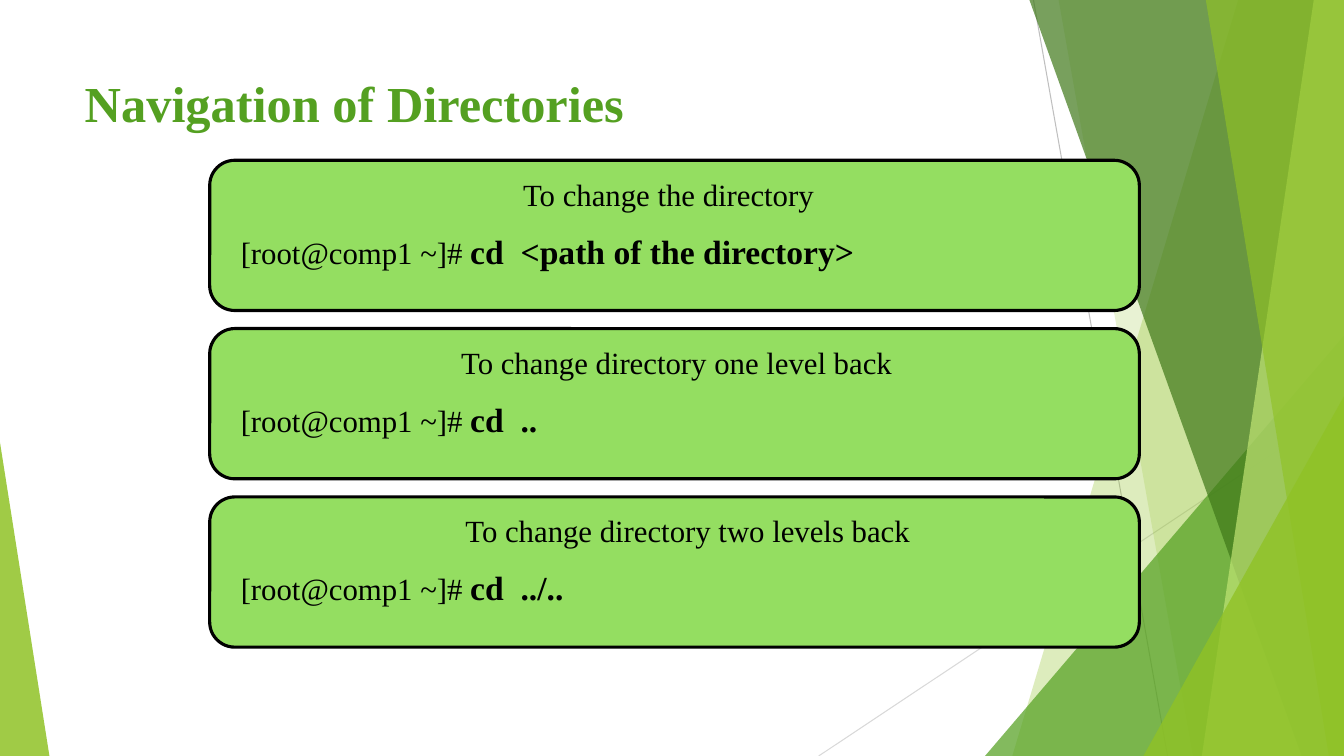
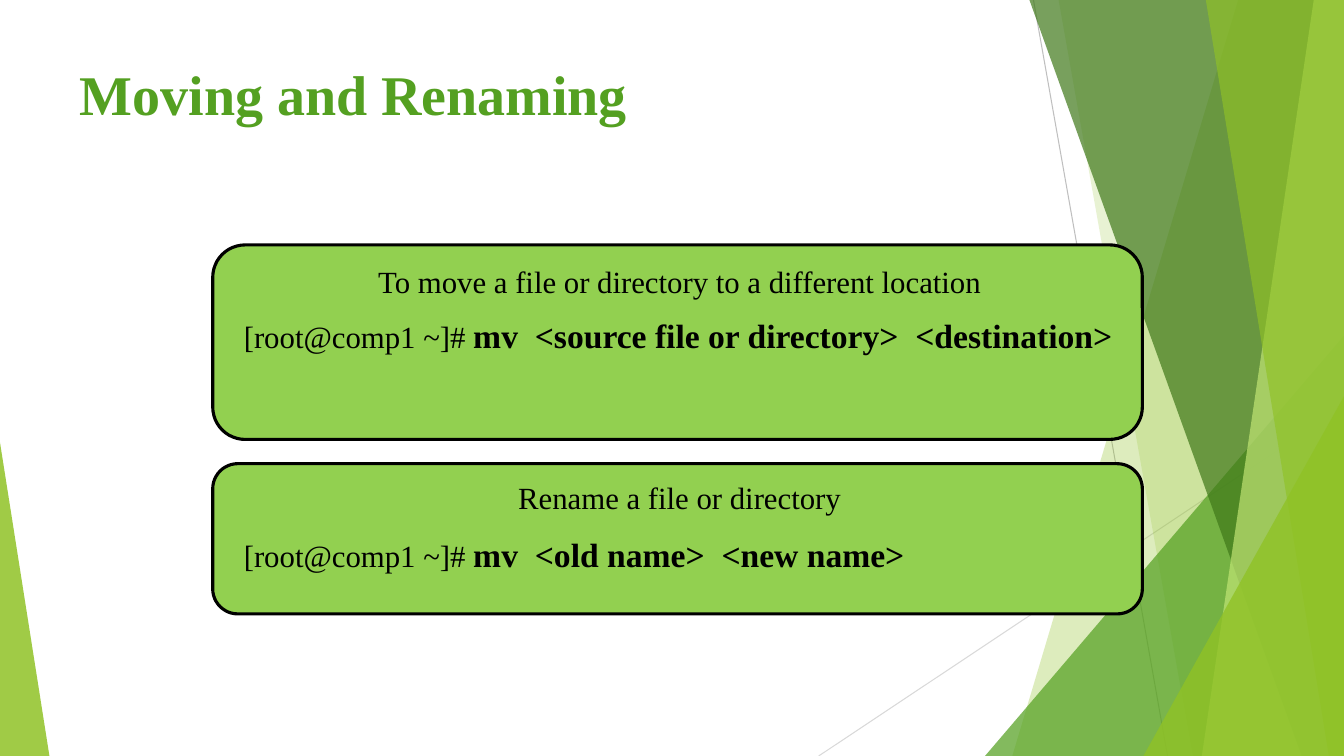
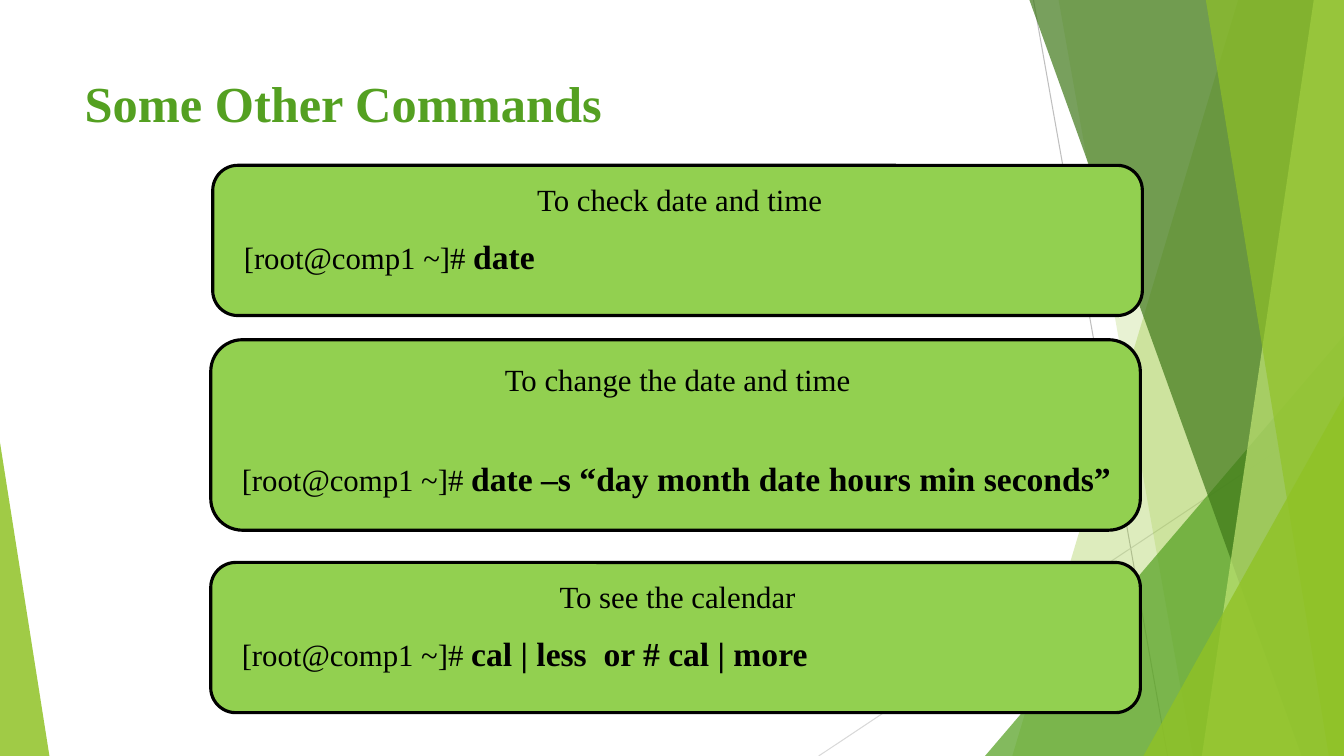
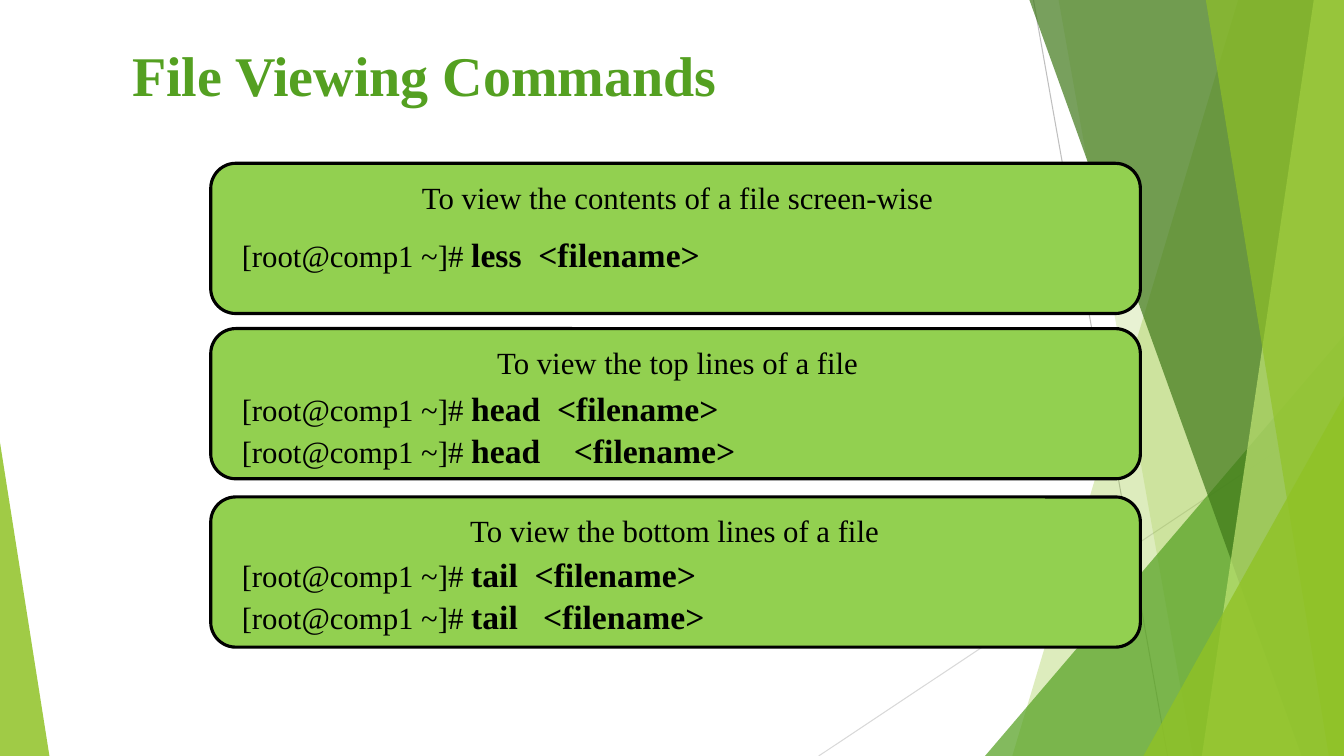
from dataclasses import dataclass

from lxml import etree
from pptx import Presentation
from pptx.dml.color import RGBColor
from pptx.enum.shapes import MSO_CONNECTOR, MSO_SHAPE
from pptx.enum.text import MSO_ANCHOR, MSO_AUTO_SIZE, PP_ALIGN
from pptx.oxml.ns import qn
from pptx.util import Inches, Pt

STRAIGHT = MSO_CONNECTOR.STRAIGHT
TRIANGLE = MSO_SHAPE.ISOSCELES_TRIANGLE
ROUNDED = MSO_SHAPE.ROUNDED_RECTANGLE
TOP = MSO_ANCHOR.TOP
NO_AUTOFIT = MSO_AUTO_SIZE.NONE
LEFT, CENTER = PP_ALIGN.LEFT, PP_ALIGN.CENTER

WIDTH, HEIGHT = 13.33, 7.5
FONT = "Times New Roman"
COLORS = {
    "title": "54A021",
    "text": "000000",
    "mint": "94DE61",
    "grass": "92D050",
    "lime": "90C226",
    "green": "54A021",
    "forest": "3F7819",
    "pale": "C0E474",
    "dark_rule": "BFBFBF",
    "light_rule": "D9D9D9",
}
PROMPT = "[root@comp1 ~]# "
CARD_WIDTH, CARD_HEIGHT = 9.22, 1.49
TEXT_INSET, TEXT_WIDTH = 0.21, 8.84
HEADING_HEIGHT, COMMAND_HEIGHT = 0.47, 0.52


@dataclass
class Card:
    heading: str
    commands: list
    left: float
    top: float
    height: float = CARD_HEIGHT
    heading_drop: float = 0.1
    command_drop: float = 0.63
    heading_shift: float = 0


def rgb(name):
    return RGBColor.from_string(COLORS[name])


def style_run(run, size, color="text", bold=False):
    run.font.name = FONT
    run.font.size = Pt(size)
    run.font.bold = bold
    run.font.color.rgb = rgb(color)


def add_rule(slide, start, end, color):
    rule = slide.shapes.add_connector(STRAIGHT, *map(Inches, start + end))
    rule.line.color.rgb = rgb(color)
    rule.line.width = Pt(0.75)
    etree.SubElement(rule.element.spPr, qn("a:effectLst"))


def tint(facet, color, opacity):
    facet.shadow.inherit = False
    facet.line.fill.background()
    facet.fill.solid()
    facet.fill.fore_color.rgb = rgb(color)
    shade = facet.element.spPr.find(qn("a:solidFill"))[0]
    etree.SubElement(shade, qn("a:alpha"), val=str(opacity * 1000))


def add_band(slide, top_x, bottom_x, color, opacity):
    corners = [(top_x, 0), (WIDTH, 0), (WIDTH, HEIGHT), (bottom_x, HEIGHT)]
    points = [(Inches(x), Inches(y)) for x, y in corners]
    outline = slide.shapes.build_freeform(*points[0])
    outline.add_line_segments(points[1:], close=True)
    tint(outline.convert_to_shape(), color, opacity)


def add_corner(slide, left, right, top, peak, color, opacity):
    corner = slide.shapes.add_shape(
        TRIANGLE, Inches(left), Inches(top), Inches(right - left), Inches(HEIGHT - top))
    corner.adjustments[0] = peak
    tint(corner, color, opacity)


def draw_backdrop(slide):
    add_rule(slide, (10.25, 0), (11.58, HEIGHT), "dark_rule")
    add_rule(slide, (WIDTH, 4.03), (8.12, HEIGHT), "light_rule")
    add_band(slide, 12.28, 10.04, "lime", 30)
    add_band(slide, 10.5, 11.83, "lime", 20)
    add_corner(slide, 9.77, WIDTH, 3.33, 1, "green", 72)
    add_band(slide, 10.21, 12.91, "forest", 70)
    add_band(slide, 13.03, 11.92, "pale", 70)
    add_band(slide, 11.96, 13.18, "lime", 65)
    add_corner(slide, 11.34, WIDTH, 3.93, 1, "lime", 80)
    add_corner(slide, 0, 0.49, 4.39, 0, "lime", 85)


def move_backdrop_to_layout(slide, layout):
    for spare in list(layout.placeholders):
        if spare.placeholder_format.idx != 0:
            spare.element.getparent().remove(spare.element)
    title = layout.placeholders[0].element
    for facet in list(slide.shapes):
        if not facet.is_placeholder:
            title.addprevious(facet.element)


def set_title(slide, text, left, top, size):
    title = slide.shapes.title
    title.left, title.top = Inches(left), Inches(top)
    title.width, title.height = Inches(9.4), Inches(1.44)
    frame = title.text_frame
    frame.text = text
    frame.word_wrap = True
    frame.auto_size = NO_AUTOFIT
    frame.vertical_anchor = TOP
    frame.paragraphs[0].alignment = LEFT
    style_run(frame.paragraphs[0].runs[0], size, "title", True)


def add_text(slide, left, top, height):
    box = slide.shapes.add_textbox(
        Inches(left), Inches(top), Inches(TEXT_WIDTH), Inches(height))
    box.text_frame.word_wrap = True
    return box.text_frame


def add_card(slide, card, fill):
    panel = slide.shapes.add_shape(
        ROUNDED, Inches(card.left), Inches(card.top), Inches(CARD_WIDTH), Inches(card.height))
    panel.shadow.inherit = False
    panel.fill.solid()
    panel.fill.fore_color.rgb = rgb(fill)
    panel.line.color.rgb = rgb("text")
    panel.line.width = Pt(2.25)

    text_left = card.left + TEXT_INSET
    heading = add_text(
        slide, text_left + card.heading_shift, card.top + card.heading_drop, HEADING_HEIGHT)
    heading.text = card.heading
    heading.paragraphs[0].alignment = CENTER
    style_run(heading.paragraphs[0].runs[0], 22)

    listing = add_text(
        slide, text_left, card.top + card.command_drop, COMMAND_HEIGHT * len(card.commands))
    for index, command in enumerate(card.commands):
        line = listing.add_paragraph() if index else listing.paragraphs[0]
        line.line_spacing = Pt(30)
        for text, size, bold in ((PROMPT, 22, False), (command, 24, True)):
            run = line.add_run()
            run.text = text
            style_run(run, size, bold=bold)


SLIDES = [
    (("Navigation of Directories", 0.74, 0.67, 36), "mint", [
        Card("To change the directory", ["cd  <path of the directory>"],
             2.08, 1.59, heading_shift=-0.08),
        Card("To change directory one level back", ["cd  .."], 2.08, 3.26),
        Card("To change directory two levels back", ["cd  ../.."],
             2.08, 4.93, heading_shift=0.11),
    ]),
    (("Moving and Renaming", 0.69, 0.54, 40), "grass", [
        Card("To move a file or directory to a different location",
             ["mv  <source file or directory>  <destination>"],
             2.11, 2.43, height=1.93, heading_drop=0.13),
        Card("Rename a file or directory", ["mv  <old name>  <new name>"], 2.11, 4.6),
    ]),
    (("Some Other Commands", 0.74, 0.67, 36), "grass", [
        Card("To check date and time", ["date"], 2.11, 1.64),
        Card("To change the date and time",
             ["date –s “day month date hours min seconds”"],
             2.09, 3.37, height=1.89, heading_drop=0.16, command_drop=1.11),
        Card("To see the calendar", ["cal | less  or # cal | more"], 2.09, 5.58),
    ]),
    (("File Viewing Commands", 1.21, 0.35, 40), "grass", [
        Card("To view the contents of a file screen-wise", ["less  <filename>"], 2.09, 1.62),
        Card("To view the top lines of a file",
             ["head  <filename>", "head    <filename>"], 2.09, 3.26, command_drop=0.52),
        Card("To view the bottom lines of a file",
             ["tail  <filename>", "tail   <filename>"],
             2.09, 4.93, command_drop=0.5, heading_shift=-0.03),
    ]),
]


def main():
    deck = Presentation()
    deck.slide_width, deck.slide_height = Inches(WIDTH), Inches(HEIGHT)
    layout = deck.slide_layouts[5]
    for number, (title, fill, cards) in enumerate(SLIDES):
        slide = deck.slides.add_slide(layout)
        if number == 0:
            draw_backdrop(slide)
            move_backdrop_to_layout(slide, layout)
        set_title(slide, *title)
        for card in cards:
            add_card(slide, card, fill)
    deck.save("out.pptx")


if __name__ == "__main__":
    main()
